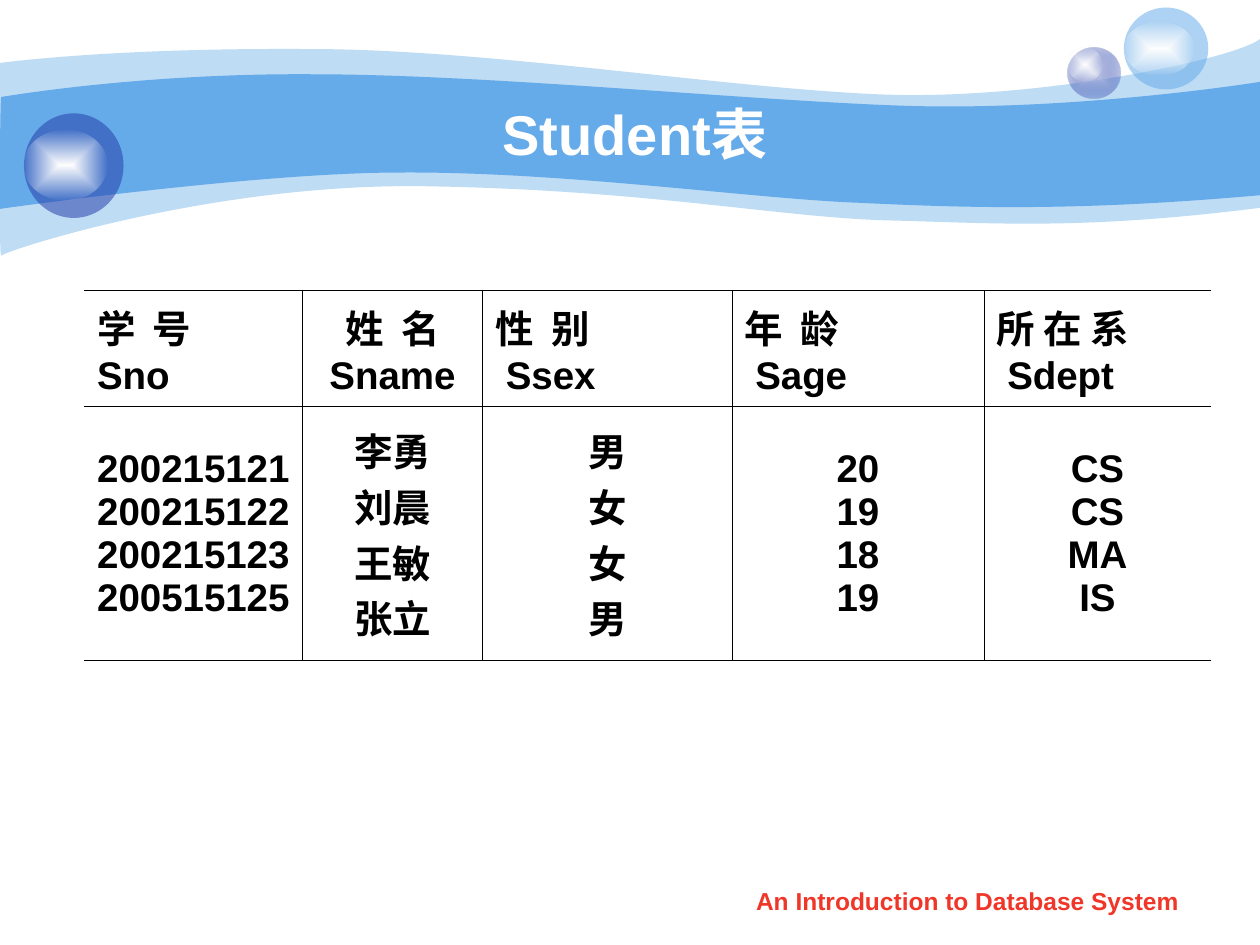
"""Build the Student table slide with its wave banner and glass spheres."""
from lxml import etree
from pptx import Presentation
from pptx.dml.color import RGBColor
from pptx.enum.shapes import MSO_SHAPE
from pptx.enum.text import MSO_ANCHOR, PP_ALIGN
from pptx.oxml.ns import qn
from pptx.util import Inches, Pt

OVAL = MSO_SHAPE.OVAL
MIDDLE, TOP = MSO_ANCHOR.MIDDLE, MSO_ANCHOR.TOP
LEFT, CENTER = PP_ALIGN.LEFT, PP_ALIGN.CENTER
COLORS = {"sky": "65AAE9", "navy": "233DA9", "mist": "C7CEE9",
          "white": "FFFFFF", "black": "000000", "red": "F03628"}
UNIT = Inches(0.01)
COLUMNS, ROWS = 1000, 750


def paint(shape, *stops):
    """Fill with one colour, or from the centre out, each as (name, opacity)."""
    shape.shadow.inherit = False
    shape.line.fill.background()
    if len(stops) == 1:
        shape.fill.solid()
        targets = [shape.fill.fore_color]
    else:
        shape.fill.gradient()
        targets = [stop.color for stop in shape.fill.gradient_stops]
        for position, stop in enumerate(shape.fill.gradient_stops):
            stop.position = position
        gradient = shape._element.spPr.find(qn("a:gradFill"))
        gradient.remove(gradient.find(qn("a:lin")))
        rect = etree.SubElement(gradient, qn("a:path"), path="rect")
        etree.SubElement(rect, qn("a:fillToRect"), l="50000", t="50000", r="50000", b="50000")
    for target, (name, _) in zip(targets, stops):
        target.rgb = RGBColor.from_string(COLORS[name])
    for color, (_, opacity) in zip(shape._element.spPr.iter(qn("a:srgbClr")), stops):
        if opacity < 100:
            etree.SubElement(color, qn("a:alpha"), val=str(opacity * 1000))


def write(frame, words, size, color, align, anchor):
    """Set bold Arial text on a frame."""
    frame.text = words
    frame.word_wrap = True
    frame.vertical_anchor = anchor
    for paragraph in frame.paragraphs:
        paragraph.alignment = align
        for run in paragraph.runs:
            run.font.name, run.font.size, run.font.bold = "Arial", Pt(size), True
            run.font.color.rgb = RGBColor.from_string(COLORS[color])


deck = Presentation()
deck.slide_width, deck.slide_height = COLUMNS * UNIT, ROWS * UNIT
slide = deck.slides.add_slide(deck.slide_layouts[6])

waves = [
    (41, (0, 50), [
        [(24, 47), (107, 38), (247, 39)], [(386, 39), (575, 70), (699, 75)],
        [(822, 80), (980, 47), (1000, 31)], [(1000, 165)],
        [(858, 183), (787, 177), (705, 175)], [(622, 173), (515, 151), (343, 148)],
        [(172, 144), (4, 199), (1, 203)], [(-1, 208), (0, 75), (0, 50)]]),
    (100, (1, 77), [
        [(2, 77), (110, 58), (248, 59)], [(386, 59), (595, 80), (718, 84)],
        [(841, 88), (976, 69), (1000, 65)], [(1000, 155)],
        [(853, 168), (765, 165), (682, 161)], [(599, 158), (447, 136), (317, 137)],
        [(203, 137), (-2, 166), (-1, 166)], [(0, 166), (0, 77), (1, 77)]]),
]
for opacity, start, segments in waves:
    builder = slide.shapes.build_freeform(*start, scale=UNIT)
    builder.add_line_segments([point for segment in segments for point in segment], close=True)
    wave = builder.convert_to_shape()
    lines = iter(list(wave._element.spPr.iter(qn("a:lnTo"))))
    for segment in segments:
        steps = [next(lines) for _ in segment]
        if len(steps) == 3:
            curve = etree.Element(qn("a:cubicBezTo"))
            steps[0].addprevious(curve)
            for step in steps:
                curve.append(step[0])
                step.getparent().remove(step)
    paint(wave, ("sky", opacity))

glow = [("white", 100), ("white", 0)]
spheres = [
    ((847, 38, 42, 40), [("mist", 100), ("navy", 31)]), ((847, 38, 28, 27), glow),
    ((892, 6, 67, 65), [("sky", 53)]), ((892, 17, 56, 43), glow),
    ((19, 90, 79, 83), [("navy", 53)]), ((19, 103, 66, 56), glow),
]
for place, stops in spheres:
    sphere = slide.shapes.add_shape(OVAL, *(UNIT * length for length in place))
    paint(sphere, *stops)

captions = [
    ((571, 698, 394, 35), "An Introduction to Database System", 14, "red", TOP),
    ((100, 75, 808, 62), "Student表", 32, "white", MIDDLE),
]
for place, words, size, color, anchor in captions:
    caption = slide.shapes.add_textbox(*(UNIT * length for length in place))
    write(caption.text_frame, words, size, color, CENTER, anchor)

widths, heights = [173, 143, 198, 200, 180], [92, 202]
fields = [
    ("学  号\nSno", LEFT, "200215121\n200215122\n200215123\n200515125"),
    ("姓  名\nSname", CENTER, "李勇\n刘晨\n王敏\n张立"),
    ("性  别\n Ssex", LEFT, "男\n女\n女\n男"),
    ("年  龄\n Sage", LEFT, "20\n19\n18\n19"),
    ("所 在 系\n Sdept", LEFT, "CS\nCS\nMA\nIS"),
]
students = slide.shapes.add_table(len(heights), len(widths), 67 * UNIT, 230.5 * UNIT,
                                  sum(widths) * UNIT, sum(heights) * UNIT).table
students.first_row = students.horz_banding = False
for row, height in zip(students.rows, heights):
    row.height = height * UNIT
for index, (width, (heading, heading_align, values)) in enumerate(zip(widths, fields)):
    students.columns[index].width = width * UNIT
    for level, (words, align) in enumerate([(heading, heading_align), (values, CENTER)]):
        cell = students.cell(level, index)
        write(cell.text_frame, words, 22, "black", align, MIDDLE)
        cell.vertical_anchor = MIDDLE
        cell.fill.background()
        drawn = {"L": index > 0, "R": index < len(fields) - 1, "T": True, "B": True}
        properties = cell._tc.get_or_add_tcPr()
        for order, (side, visible) in enumerate(drawn.items()):
            border = etree.Element(qn(f"a:ln{side}"), w=str(Pt(0.45)))
            ink = etree.SubElement(border, qn("a:solidFill" if visible else "a:noFill"))
            if visible:
                etree.SubElement(ink, qn("a:srgbClr"), val=COLORS["black"])
            properties.insert(order, border)

deck.save("out.pptx")
